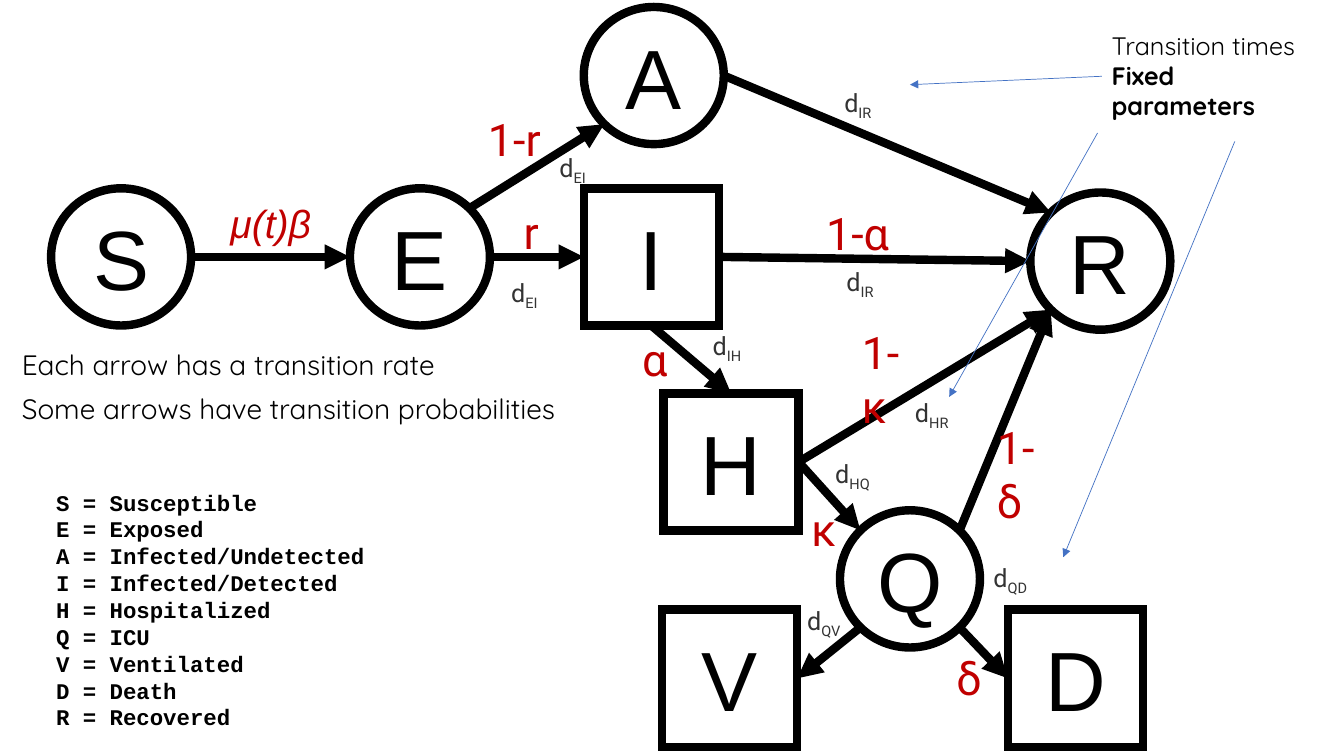
from dataclasses import dataclass

from lxml import etree
from pptx import Presentation
from pptx.dml.color import RGBColor
from pptx.enum.shapes import MSO_CONNECTOR, MSO_SHAPE
from pptx.enum.text import MSO_ANCHOR, PP_ALIGN
from pptx.oxml.ns import qn
from pptx.util import Pt

STRAIGHT = MSO_CONNECTOR.STRAIGHT
CIRCLE, SQUARE = MSO_SHAPE.OVAL, MSO_SHAPE.RECTANGLE
LEFT, CENTER = PP_ALIGN.LEFT, PP_ALIGN.CENTER
TOP, MIDDLE = MSO_ANCHOR.TOP, MSO_ANCHOR.MIDDLE


@dataclass(frozen=True)
class Theme:
    black: str = "000000"
    red: str = "C00000"
    gray: str = "333333"
    blue: str = "4472C4"
    node_size: int = 60
    probability_size: int = 32
    rate_size: int = 28
    caption_size: int = 20
    time_size: int = 18
    legend_size: int = 16
    thick: float = 6
    thin: float = 0.5


theme = Theme()


def write_text(shape, text, size, font, color=theme.black, bold=False, italic=False,
               align=LEFT, anchor=TOP, spacing=1.0, gap=0):
    frame = shape.text_frame
    frame.word_wrap = True
    frame.vertical_anchor = anchor
    for index, line in enumerate(text.split("\n")):
        paragraph = frame.add_paragraph() if index else frame.paragraphs[0]
        paragraph.alignment = align
        paragraph.line_spacing = spacing
        paragraph.space_before = Pt(gap if index else 0)
        for part, piece in enumerate(line.split("_")):
            run = paragraph.add_run()
            run.text = piece
            run.font.size = Pt(size)
            run.font.name = font
            run.font.bold = bold
            run.font.italic = italic
            run.font.color.rgb = RGBColor.from_string(color)
            if part:
                run._r.get_or_add_rPr().set("baseline", "-25000")


def add_arrow(start, end, color, width):
    arrow = slide.shapes.add_connector(STRAIGHT, *[Pt(value) for value in (*start, *end)])
    arrow.line.color.rgb = RGBColor.from_string(color)
    arrow.line.width = Pt(width)
    etree.SubElement(arrow.line._get_or_add_ln(), qn("a:tailEnd"), type="triangle")
    etree.SubElement(arrow._element.spPr, qn("a:effectLst"))
    return arrow


presentation = Presentation()
presentation.slide_width, presentation.slide_height = Pt(960), Pt(540)
slide = presentation.slides.add_slide(presentation.slide_layouts[6])

node_height = 98
node_widths = {CIRCLE: 100, SQUARE: 96.5}
nodes = {
    "S": (CIRCLE, 36.5, 134.5),
    "E": (CIRCLE, 250, 134.5),
    "A": (CIRCLE, 417, 5),
    "Q": (CIRCLE, 600, 364.5),
    "R": (CIRCLE, 736, 137.5),
    "I": (SQUARE, 417, 134.5),
    "H": (SQUARE, 474, 281),
    "D": (SQUARE, 720, 435.5),
    "V": (SQUARE, 473, 435.5),
}
node_shapes = {}
for letter, (kind, left, top) in nodes.items():
    shape = slide.shapes.add_shape(kind, Pt(left), Pt(top), Pt(node_widths[kind]), Pt(node_height))
    shape.shadow.inherit = False
    shape.fill.background()
    shape.line.color.rgb = RGBColor.from_string(theme.black)
    shape.line.width = Pt(theme.thick)
    etree.SubElement(shape.line._get_or_add_ln(), qn("a:miter"), lim="800000")
    write_text(shape, letter, theme.node_size, "Arial", align=CENTER, anchor=MIDDLE)
    node_shapes[letter] = shape

directions = {
    "top": (0, -1), "left": (-1, 0), "bottom": (0, 1), "right": (1, 0),
    "top left": (-0.71, -0.71), "bottom left": (-0.71, 0.71),
    "top right": (0.71, -0.71), "bottom right": (0.71, 0.71),
}
sides = list(directions)
flows = [
    ("S", "right", "E", "left"),
    ("E", "right", "I", "left"),
    ("E", "top right", "A", "bottom left"),
    ("I", "right", "R", "left"),
    ("H", "right", "R", "bottom left"),
    ("Q", "top right", "R", "bottom left"),
    ("I", "bottom", "H", "top"),
    ("Q", "bottom left", "V", "right"),
    ("Q", "bottom right", "D", "left"),
    ("A", "right", "R", "top left"),
    ("H", "right", "Q", "top left"),
]
for source, source_side, target, target_side in flows:
    points = []
    for letter, side in ((source, source_side), (target, target_side)):
        kind, left, top = nodes[letter]
        across, down = directions[side]
        points.append((left + node_widths[kind] * (1 + across) / 2,
                       top + node_height * (1 + down) / 2))
    arrow = add_arrow(*points, theme.black, theme.thick)
    if nodes[source][0] == SQUARE:
        arrow.begin_connect(node_shapes[source], sides.index(source_side))
    if nodes[target][0] == SQUARE:
        arrow.end_connect(node_shapes[target], sides.index(target_side))

legend = slide.shapes.add_textbox(Pt(33), Pt(345.5), Pt(236), Pt(181.5))
write_text(legend, "S = Susceptible\nE = Exposed\nA = Infected/Undetected\n"
           "I = Infected/Detected\nH = Hospitalized\nQ = ICU\nV = Ventilated\n"
           "D = Death\nR = Recovered", theme.legend_size, "Courier New", bold=True)

rate = slide.shapes.add_textbox(Pt(157.5), Pt(139), Pt(144), Pt(41))
write_text(rate, "μ(t)β", theme.rate_size, "Arial", theme.red, italic=True)

probabilities = [
    ("α", 451.5, 233.5, 40), ("1-α", 583, 143.5, 64), ("κ", 572.5, 354.5, 40),
    ("1-κ", 608.5, 228.5, 56), ("δ", 676, 461.5, 40), ("1-δ", 705, 296.5, 56),
    ("1-r", 341.5, 76.5, 56), ("r", 367, 142.5, 40),
]
for text, left, top, width in probabilities:
    label = slide.shapes.add_textbox(Pt(left), Pt(top), Pt(width), Pt(46))
    write_text(label, text, theme.probability_size, "Roboto", theme.red)

times = [
    ("d_EI", 358, 194.5), ("d_EI", 392.5, 105), ("d_IR", 596, 58.5),
    ("d_IR", 597.5, 186.5), ("d_IH", 502, 232.5), ("d_HQ", 589.5, 323.5),
    ("d_QD", 702.5, 398), ("d_QV", 569.5, 428.5), ("d_HR", 646.5, 280),
]
for text, left, top in times:
    label = slide.shapes.add_textbox(Pt(left), Pt(top), Pt(44), Pt(29))
    write_text(label, text, theme.time_size, "Roboto", theme.gray)

callout = slide.shapes.add_textbox(Pt(787), Pt(18), Pt(156), Pt(73))
write_text(callout, "Transition times\nFixed parameters", theme.time_size, "Quicksand")
callout.text_frame.paragraphs[1].runs[0].font.bold = True
for start, end in [((787, 54.5), (650, 60.5)), ((784, 95), (678, 283.5)), ((882, 101), (759.5, 398))]:
    add_arrow(start, end, theme.blue, theme.thin)

caption = slide.shapes.add_textbox(Pt(8.5), Pt(247.5), Pt(427), Pt(106))
write_text(caption, "Each arrow has a transition rate\nSome arrows have transition probabilities",
           theme.caption_size, "Quicksand", spacing=0.9, gap=10)

presentation.save("out.pptx")
